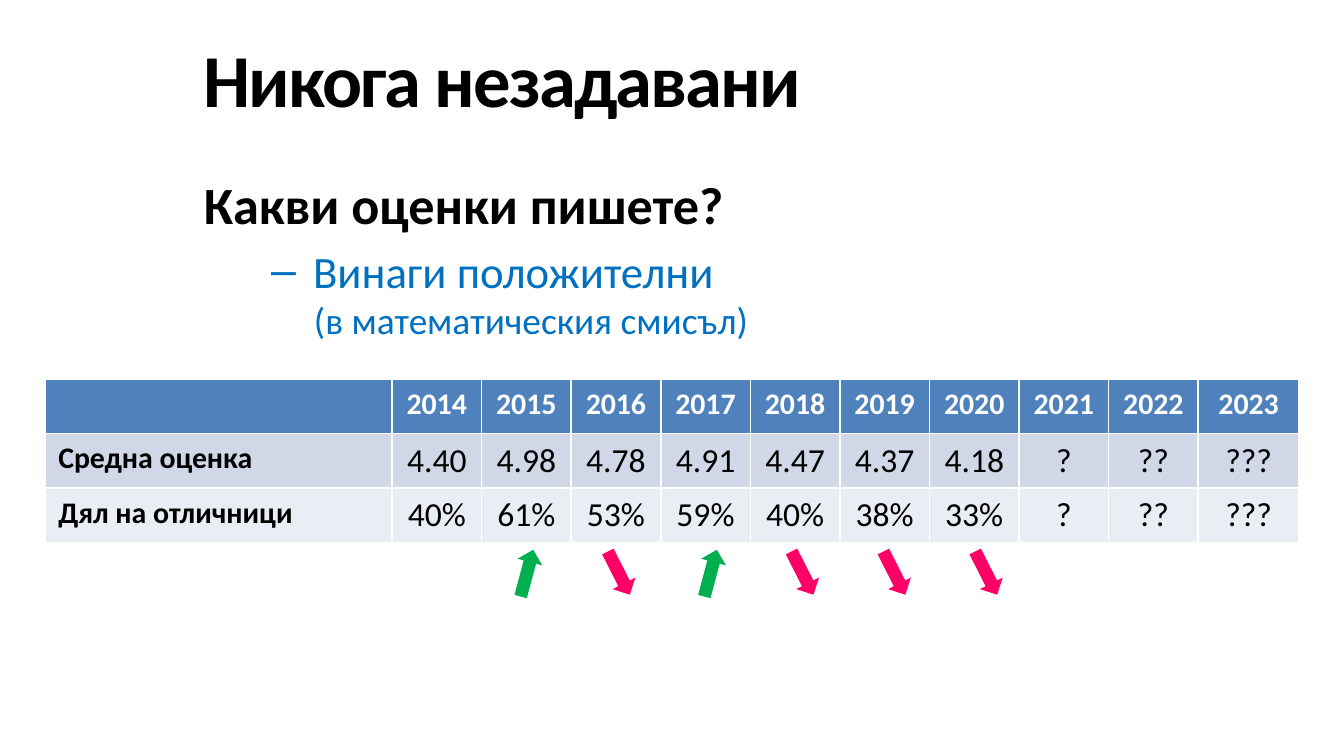
from dataclasses import dataclass

from lxml import etree
from pptx import Presentation
from pptx.dml.color import RGBColor
from pptx.enum.shapes import MSO_SHAPE
from pptx.enum.text import MSO_ANCHOR, PP_ALIGN
from pptx.oxml.ns import qn
from pptx.util import Pt

ARROW = MSO_SHAPE.RIGHT_ARROW
LEFT, CENTER = PP_ALIGN.LEFT, PP_ALIGN.CENTER
MIDDLE = MSO_ANCHOR.MIDDLE


@dataclass
class Theme:
    font: str = "Calibri"
    black: str = "000000"
    white: str = "FFFFFF"
    blue: str = "0070C0"
    green: str = "00B050"
    pink: str = "FF0066"
    fills: tuple = ("4F81BD", "D0D8E8", "E9EDF4")
    title: int = 40
    head: int = 28
    item: int = 24
    note: int = 20
    label: int = 16
    value: int = 18


theme = Theme()


def style(para, size, color, bold=False):
    for run in para.runs:
        font = run.font
        font.name, font.size, font.bold = theme.font, Pt(size), bold
        font.color.rgb = RGBColor.from_string(color)


def place(shape, left, top, width, height):
    shape.left, shape.top = Pt(left), Pt(top)
    shape.width, shape.height = Pt(width), Pt(height)


deck = Presentation()
deck.slide_width, deck.slide_height = Pt(720), Pt(405)
slide = deck.slides.add_slide(deck.slide_layouts[1])
title, body = slide.placeholders

# Title
place(title, 102, 11, 618, 61)
title.text_frame.text = "Никога незадавани"
title.text_frame.vertical_anchor = MIDDLE
para = title.text_frame.paragraphs[0]
para.alignment = LEFT
style(para, theme.title, theme.black, True)
para.runs[0].font._element.set("spc", "-100")

# Question and answer
place(body, 102, 88.5, 618, 294)
lines = [
    ("Какви оценки пишете?", theme.head, theme.black),
    ("Винаги положителни", theme.item, theme.blue),
    ("(в математическия смисъл)", theme.note, theme.blue),
]
frame = body.text_frame
frame.text = "\n".join(text for text, size, color in lines)
for level, (para, (text, size, color)) in enumerate(zip(frame.paragraphs, lines)):
    para.level = level
    style(para, size, color, level == 0)
    if level != 1:  # only the middle line keeps its dash
        props = para._p.get_or_add_pPr()
        props.set("marL", str(Pt(59 if level else 0)))
        props.set("indent", "0")
        if level == 2:
            para.space_before = Pt(0)
        etree.SubElement(props, qn("a:buNone"))

# Grades by year
rows = [
    [""] + [str(year) for year in range(2014, 2024)],
    "Средна оценка|4.40|4.98|4.78|4.91|4.47|4.37|4.18|?|??|???".split("|"),
    "Дял на отличници|40%|61%|53%|59%|40%|38%|33%|?|??|???".split("|"),
]
widths = [186] + [48] * 9 + [54]
grid = slide.shapes.add_table(
    len(rows), len(widths), Pt(24), Pt(203), Pt(sum(widths)), Pt(87.6)
).table
for col, width in zip(grid.columns, widths):
    col.width = Pt(width)
for r, row in enumerate(rows):
    for c, text in enumerate(row):
        cell = grid.cell(r, c)
        cell.fill.solid()
        cell.fill.fore_color.rgb = RGBColor.from_string(theme.fills[r])
        cell.text_frame.text = text
        para = cell.text_frame.paragraphs[0]
        para.alignment = CENTER if c else LEFT
        label = r == 0 or c == 0
        style(para, theme.label if label else theme.value,
              theme.black if r else theme.white, label)

# Arrows for the change from year to year
marks = {"up": (theme.green, 285), "down": (theme.pink, 63.1)}
trend = ["up", "down", "up", "down", "down", "down"]
for i, way in enumerate(trend):
    color, angle = marks[way]
    arrow = slide.shapes.add_shape(
        ARROW, Pt(269.3 + 49.2 * i), Pt(300.2), Pt(26), Pt(13.7))
    arrow.rotation = angle
    arrow.shadow.inherit = False
    arrow.fill.solid()
    arrow.fill.fore_color.rgb = RGBColor.from_string(color)
    arrow.line.fill.background()

deck.save("out.pptx")
